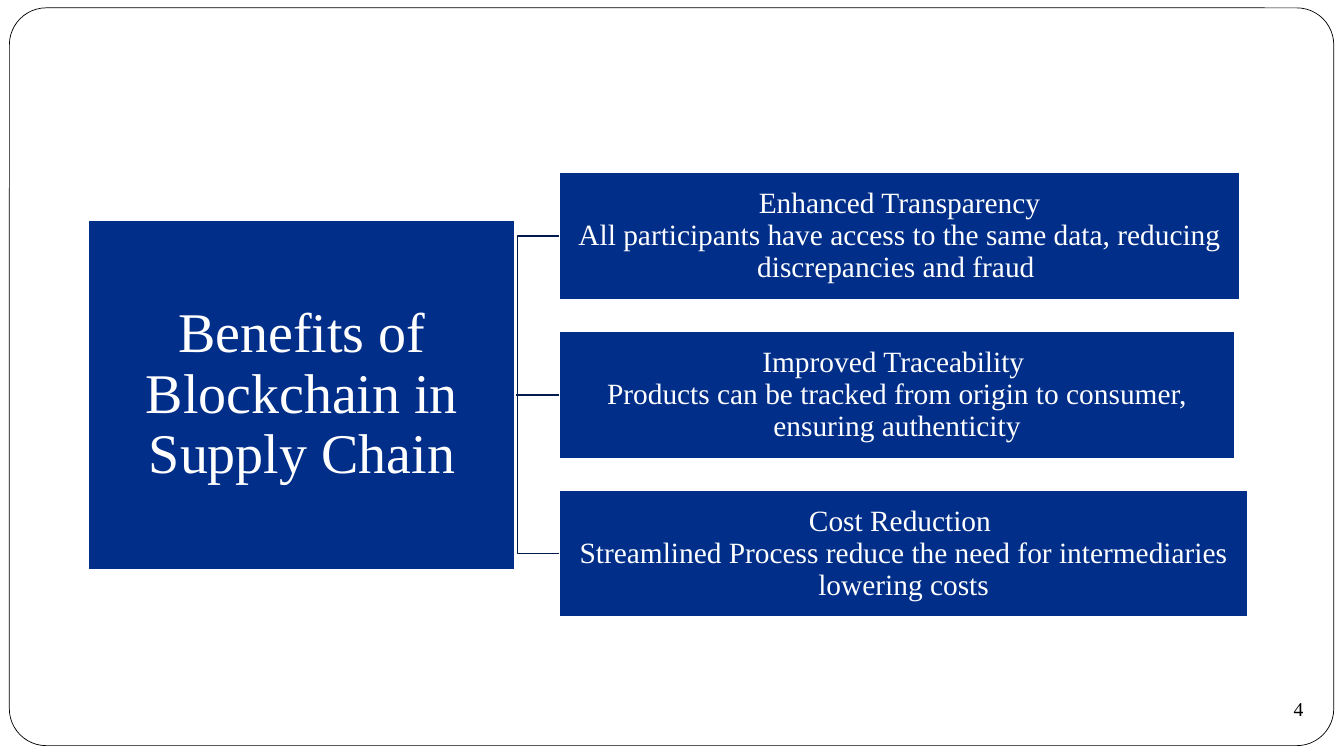
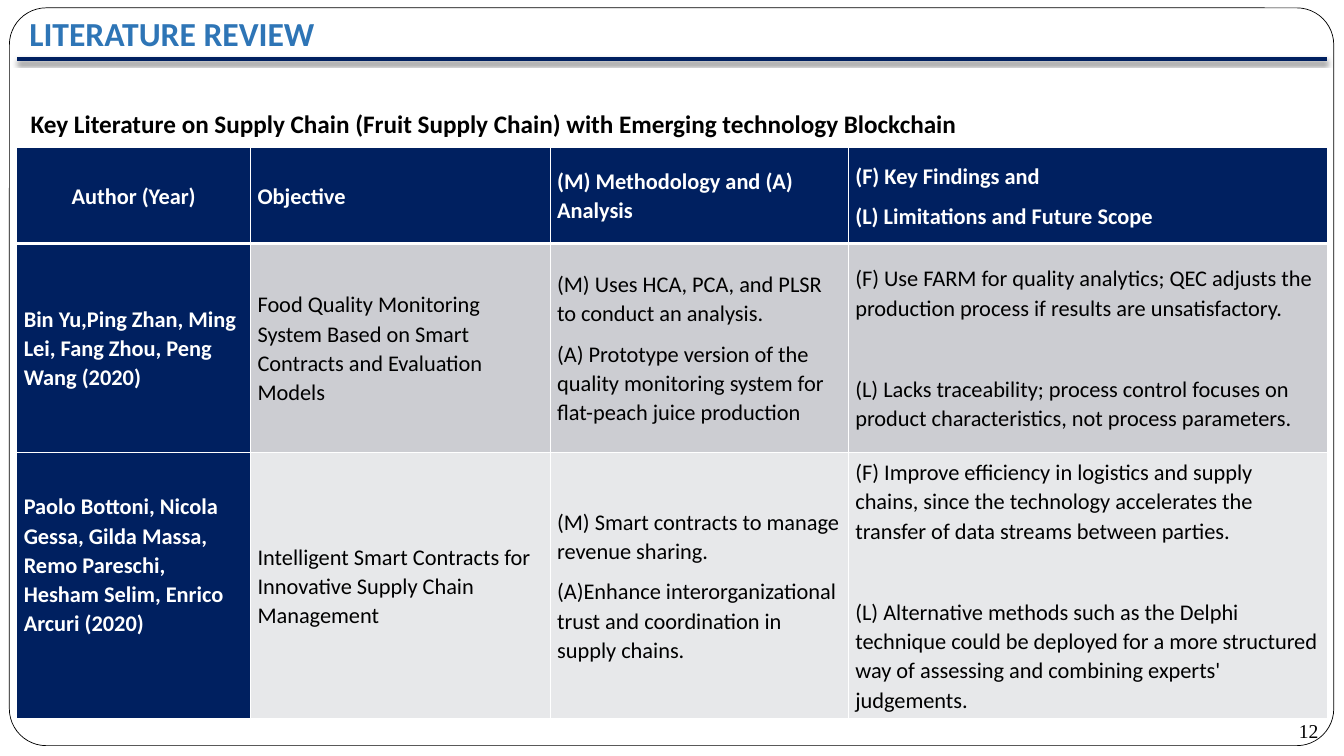
from lxml.etree import SubElement
from pptx import Presentation
from pptx.dml.color import RGBColor
from pptx.enum.shapes import MSO_CONNECTOR as Link, MSO_SHAPE as Shape
from pptx.enum.text import MSO_ANCHOR as Anchor, PP_ALIGN as Align
from pptx.oxml import parse_xml
from pptx.oxml.ns import nsdecls, qn
from pptx.util import Pt

WHITE = RGBColor(0xFF, 0xFF, 0xFF)
BLACK = RGBColor(0x00, 0x00, 0x00)
NAVY = RGBColor(0x00, 0x20, 0x60)
ROYAL = RGBColor(0x00, 0x2E, 0x89)
INK = RGBColor(0x00, 0x1A, 0x4D)
BLUE = RGBColor(0x2E, 0x75, 0xB6)
GREY = RGBColor(0xCC, 0xCD, 0xD2)
PALE = RGBColor(0xE7, 0xE8, 0xEA)
SERIF, SANS = "Times New Roman", "Calibri"

deck = Presentation()
deck.slide_width, deck.slide_height = Pt(960), Pt(540)


def write(frame, texts, size, font, color, bold=False, align=Align.LEFT,
          line=1.0, after=0, before=0):
    frame.word_wrap = True
    for i, text in enumerate(texts):
        par = frame.add_paragraph() if i else frame.paragraphs[0]
        par.alignment = align
        par.line_spacing = line
        par.space_after = Pt(after)
        par.space_before = Pt(before if i else 0)
        for j, part in enumerate(text.split("\n")):
            if j:
                par.add_line_break()
            run = par.add_run()
            run.text = part
            run.font.size = Pt(size)
            run.font.name = font
            run.font.bold = bold
            run.font.color.rgb = color


def stroke(slide, x1, y1, x2, y2, color, width):
    line = slide.shapes.add_connector(Link.STRAIGHT, Pt(x1), Pt(y1), Pt(x2), Pt(y2))
    line.line.color.rgb = color
    line.line.width = Pt(width)
    return SubElement(line._element.spPr, qn("a:effectLst"))


slides = []
for number, left, top in [("4", 903.6, 488), ("12", 910.8, 504)]:
    slide = deck.slides.add_slide(deck.slide_layouts[6])
    frame = slide.shapes.add_shape(Shape.ROUNDED_RECTANGLE, Pt(6.7), Pt(5.6), Pt(946), Pt(527))
    frame.adjustments[0] = 0.05
    frame.shadow.inherit = False
    frame.fill.solid()
    frame.fill.fore_color.rgb = WHITE
    frame.line.color.rgb = BLACK
    frame.line.width = Pt(0.5)
    badge = slide.shapes.add_shape(Shape.OVAL, Pt(left), Pt(top), Pt(48), Pt(36))
    badge.shadow.inherit = False
    badge.fill.background()
    badge.line.fill.background()
    page = badge.text_frame
    page.margin_left = page.margin_right = page.margin_top = page.margin_bottom = 0
    page.vertical_anchor = Anchor.MIDDLE
    write(page, [number], 14, SERIF, BLACK, align=Align.CENTER)
    page.word_wrap = False
    slides.append(slide)
gains, review = slides

MID, STEP, TALL = 282.1, 113.5, 90.5
ROOT, TRUNK, LEAF = 339.8, 369.6, 399.6
blocks = [(63.4, MID, 304.6, 249.4, 40, "Benefits of Blockchain in Supply Chain")]
for i, (wide, text) in enumerate([
    (486, "Enhanced Transparency\nAll participants have access to the same data, "
          "reducing discrepancies and fraud "),
    (482.4, "Improved Traceability \nProducts can be tracked from origin to consumer, "
            "ensuring authenticity"),
    (491.8, "Cost Reduction \nStreamlined Process reduce the need for intermediaries "
            "lowering costs"),
]):
    y = MID + (i - 1) * STEP
    blocks.append((LEAF, y, wide, TALL, 21, text))
    if y == MID:
        stroke(gains, ROOT, y, LEAF, y, INK, 1)
        continue
    route = gains.shapes.build_freeform(Pt(ROOT), Pt(MID))
    route.add_line_segments([(Pt(TRUNK), Pt(MID)), (Pt(TRUNK), Pt(y)), (Pt(LEAF), Pt(y))],
                            close=False)
    elbow = route.convert_to_shape()
    elbow.shadow.inherit = False
    elbow.fill.background()
    elbow.line.color.rgb = INK
    elbow.line.width = Pt(1)

for left, y, wide, tall, size, text in blocks:
    block = gains.shapes.add_shape(Shape.RECTANGLE, Pt(left), Pt(y - tall / 2), Pt(wide), Pt(tall))
    block.shadow.inherit = False
    block.fill.solid()
    block.fill.fore_color.rgb = ROYAL
    block.line.color.rgb = WHITE
    block.line.width = Pt(1)
    body = block.text_frame
    body.margin_left = body.margin_right = body.margin_top = body.margin_bottom = Pt(1)
    body.vertical_anchor = Anchor.MIDDLE
    write(body, [text], size, SERIF, WHITE, align=Align.CENTER, line=0.9)

glow = stroke(review, 12.2, 42, 948.2, 42, NAVY, 3)
glow.append(parse_xml(
    f'<a:outerShdw {nsdecls("a")} blurRad="38100" dist="25400" dir="5400000" rotWithShape="0">'
    '<a:srgbClr val="000000"><a:alpha val="50000"/></a:srgbClr></a:outerShdw>'))

for left, top, wide, text, size, color, align, line in [
    (13.9, 5.8, 946, "LITERATURE REVIEW", 24, BLUE, Align.LEFT, 1.0),
    (14.8, 63, 924, "Key Literature on Supply Chain (Fruit Supply Chain) with Emerging "
                    "technology Blockchain", 18, BLACK, Align.JUSTIFY, 1.5),
]:
    head = review.shapes.add_textbox(Pt(left), Pt(top), Pt(wide), Pt(36))
    write(head.text_frame, [text], size, SANS, color, True, align, line)

rows = [
    [["Author (Year)"], ["Objective"], ["(M) Methodology and (A) Analysis"],
     ["(F) Key Findings and", "(L) Limitations and Future Scope"]],
    [["Bin Yu,Ping Zhan, Ming Lei, Fang Zhou, Peng Wang (2020)"],
     ["Food Quality Monitoring System Based on Smart Contracts and Evaluation Models"],
     ["(M) Uses HCA, PCA, and PLSR to conduct an analysis.",
      "(A) Prototype version of the quality monitoring system for flat-peach juice production"],
     ["(F) Use FARM for quality analytics; QEC adjusts the production process if results "
      "are unsatisfactory.",
      "(L) Lacks traceability; process control focuses on product characteristics, "
      "not process parameters."]],
    [["Paolo Bottoni, Nicola Gessa, Gilda Massa, Remo Pareschi, Hesham Selim, "
      "Enrico Arcuri (2020)"],
     ["Intelligent Smart Contracts for Innovative Supply Chain Management"],
     ["(M) Smart contracts to manage revenue sharing.",
      "(A)Enhance interorganizational trust and coordination in supply chains."],
     ["(F) Improve efficiency in logistics and supply chains, since the technology "
      "accelerates the transfer of data streams between parties.",
      "(L) Alternative methods such as the Delphi technique could be deployed for a more "
      "structured way of assessing and combining experts' judgements."]],
]
grid = review.shapes.add_table(3, 4, Pt(12), Pt(105.6), Pt(936), Pt(408)).table
for col, wide in zip(grid.columns, [167, 214, 213, 342]):
    col.width = Pt(wide)
for row, tall in zip(grid.rows, [68.4, 149.2, 190.4]):
    row.height = Pt(tall)
for r, row in enumerate(rows):
    for c, texts in enumerate(row):
        cell = grid.cell(r, c)
        dark = r == 0 or c == 0
        cell.fill.solid()
        cell.fill.fore_color.rgb = NAVY if dark else (GREY, PALE)[r - 1]
        cell.vertical_anchor = Anchor.MIDDLE
        cell.margin_left = cell.margin_right = Pt(5)
        cell.margin_top = 0
        cell.margin_bottom = Pt(30 if (r, c) == (2, 0) else 0)
        write(cell.text_frame, texts, 16, SANS, WHITE if dark else BLACK, dark,
              Align.CENTER if r == c == 0 else Align.LEFT, 1.07, 8,
              29 if r and c == 3 else 0)
        for i, side in enumerate("LRTB"):
            thick = (r, side) in [(0, "B"), (1, "T")]
            cell._tc.get_or_add_tcPr().insert(i, parse_xml(
                f'<a:ln{side} {nsdecls("a")} w="{Pt(3 if thick else 1)}"><a:solidFill>'
                f'<a:srgbClr val="{WHITE}"/></a:solidFill></a:ln{side}>'))

deck.save("out.pptx")
